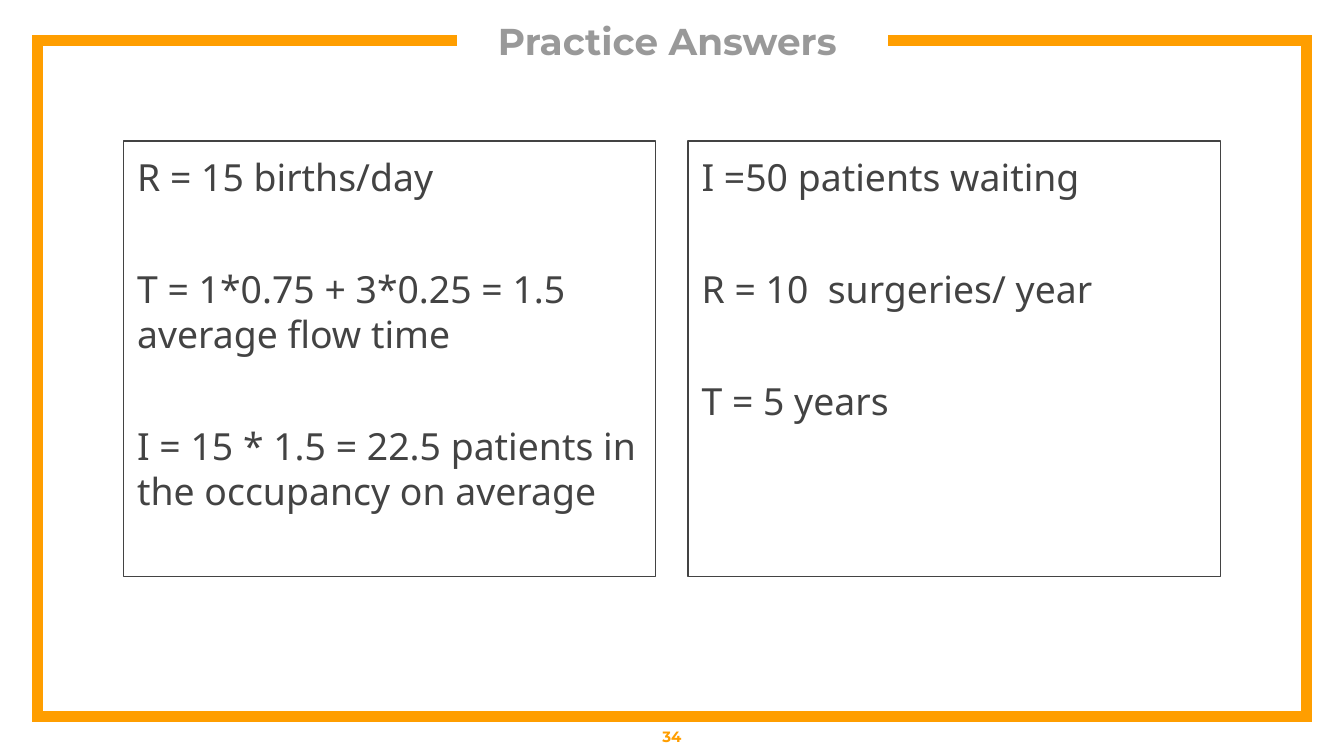
from lxml import etree
from pptx import Presentation
from pptx.dml.color import RGBColor
from pptx.enum import text
from pptx.oxml import ns
from pptx.util import Inches, Pt

ORANGE, GRAY, DARK = "FF9E00", "999999", "434343"


def rgb(value):
    """Turn a hex string into a colour."""
    return RGBColor.from_string(value)


def write(p, words, font="Noto Sans", size=20, color=DARK, bold=False, align=None, before=0):
    """Write one formatted paragraph."""
    p.alignment = align
    p.space_before = Pt(before)
    r = p.add_run()
    r.text = words
    r.font.name, r.font.size, r.font.bold = font, Pt(size), bold
    r.font.color.rgb = rgb(color)


class Deck:
    """Hold the style and the current slide."""

    def __init__(self, prs):
        """Start a slide with a title and two bodies."""
        self.s = prs.slides.add_slide(prs.slide_layouts[3])
        self.heading = dict(font="Montserrat", bold=True, align=text.PP_ALIGN.CENTER)

    def place(self, sp, box, inset, anchor):
        """Position a shape and prepare its text frame."""
        sp.left, sp.top, sp.width, sp.height = map(Inches, box)
        tf = sp.text_frame
        tf.word_wrap, tf.auto_size = True, text.MSO_AUTO_SIZE.NONE
        tf.vertical_anchor = anchor
        tf.margin_left = tf.margin_right = tf.margin_top = tf.margin_bottom = Inches(inset)
        return tf

    def frame(self, points):
        """Draw the open border."""
        start, *rest = [(Inches(x), Inches(y)) for x, y in points]
        builder = self.s.shapes.build_freeform(*start)
        builder.add_line_segments(rest, close=False)
        sp = builder.convert_to_shape()
        sp.shadow.inherit = False
        sp.fill.background()
        sp.line.color.rgb = rgb(ORANGE)
        sp.line.width = Pt(6)
        ln = sp._element.spPr.find(ns.qn("a:ln"))
        etree.SubElement(ln, ns.qn("a:miter"), lim="800000")

    def title(self, words, box):
        """Fill the title placeholder."""
        tf = self.place(self.s.shapes.title, box, 0, text.MSO_ANCHOR.MIDDLE)
        write(tf.paragraphs[0], words, color=GRAY, **self.heading)

    def body(self, idx, lines, box):
        """Fill an outlined body placeholder with spaced answers."""
        sp = self.s.placeholders[idx]
        tf = self.place(sp, box, 0.1, text.MSO_ANCHOR.TOP)
        sp.line.color.rgb = rgb(DARK)
        sp.line.width = Pt(0.75)
        for i, words in enumerate(lines):
            p = tf.add_paragraph() if i else tf.paragraphs[0]
            pPr = p._p.get_or_add_pPr()
            pPr.set("marL", "0")
            pPr.set("indent", "0")
            etree.SubElement(pPr, ns.qn("a:buNone"))
            write(p, words, before=36 if i else 0)

    def number(self, words, box):
        """Add the page number."""
        sp = self.s.shapes.add_textbox(*map(Inches, box))
        tf = self.place(sp, box, 0.1, text.MSO_ANCHOR.MIDDLE)
        write(tf.paragraphs[0], words, size=8, color=ORANGE, **self.heading)


def main():
    """Build the slide."""
    prs = Presentation()
    prs.slide_width = Inches(10)
    prs.slide_height = prs.slide_width * 9 // 16
    deck = Deck(prs)
    left, top, right, bottom = 0.28, 0.3, 9.72, 5.33
    deck.frame([(3.4, top), (left, top), (left, bottom),
                (right, bottom), (right, top), (6.61, top)])
    deck.title("Practice Answers ", (3.55, 0.11, 2.91, 0.39))
    answers = [
        ["R = 15 births/day",
         "T = 1*0.75 + 3*0.25 = 1.5 average flow time",
         "I = 15 * 1.5 = 22.5 patients in the occupancy on average"],
        ["I =50 patients waiting", "R = 10  surgeries/ year", "T = 5 years"],
    ]
    for i, lines in enumerate(answers):
        deck.body(i + 1, lines, (0.92 + 4.2 * i, 1.05, 3.96, 3.24))
    deck.number("34", (0, bottom, 10, 0.3))
    prs.save("out.pptx")


if __name__ == "__main__":
    main()
